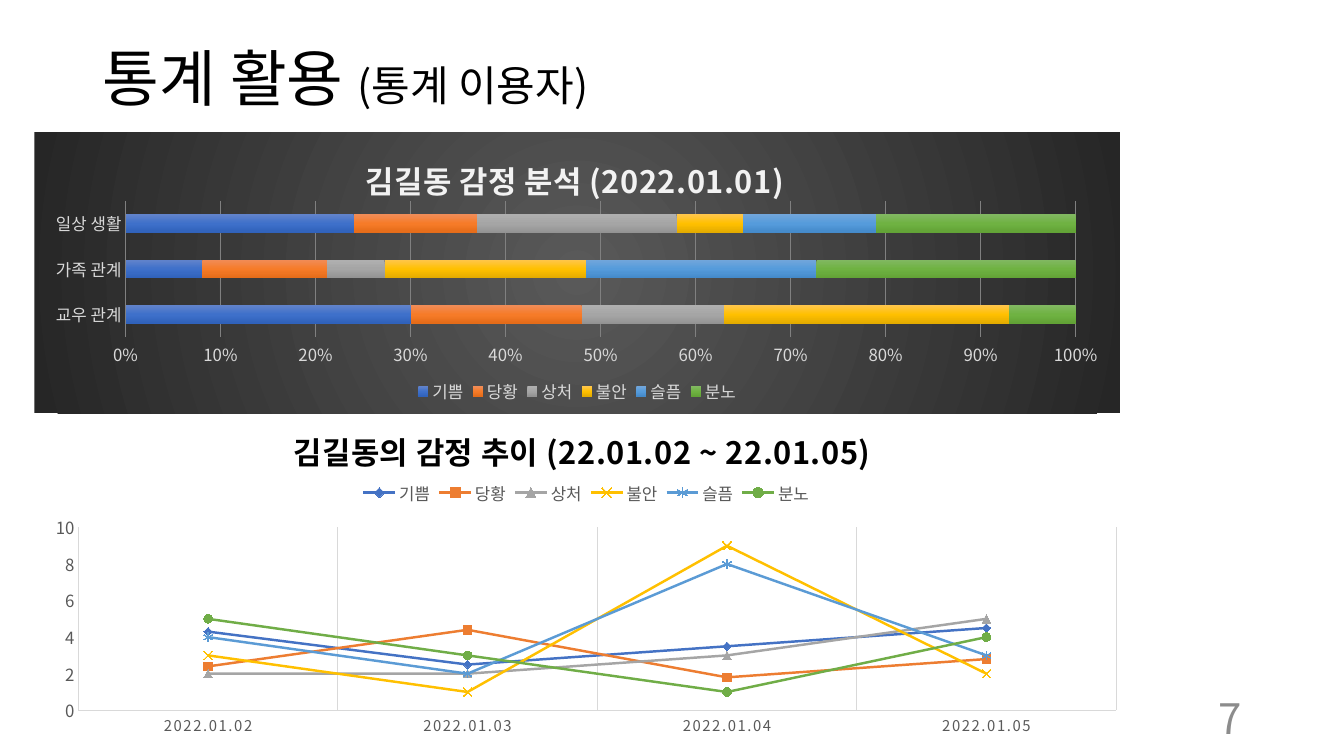
import pptx
import pptx.chart.data
import pptx.dml.color
import pptx.enum.chart
import pptx.enum.text
import pptx.oxml
import pptx.oxml.ns
import pptx.util

FONT = "Noto Sans CJK KR"
KIND = pptx.enum.chart.XL_CHART_TYPE
SIDE = pptx.enum.chart.XL_LEGEND_POSITION
MARK = pptx.enum.chart.XL_MARKER_STYLE
NAMES = ["기쁨", "당황", "상처", "불안", "슬픔", "분노"]
SHARES = [[30, 8, 24], [18, 13, 13], [15, 6, 21],
          [30, 21, 7], [None, 24, 14], [7, 27, 21]]
SHADES = [["6183CB", "3E70CA", "3062BB"], ["F18C57", "F67B28", "E56C19"],
          ["AFAFAF", "A5A5A5", "939393"], ["FFC64B", "FFC000", "E3AB00"],
          ["71A6DB", "559BDB", "448ACA"], ["81B861", "6FB242", "62A336"]]
TRENDS = [[4.3, 2.5, 3.5, 4.5], [2.4, 4.4, 1.8, 2.8], [2, 2, 3, 5],
          [3, 1, 9, 2], [4, 2, 8, 3], [5, 3, 1, 4]]
HUES = ["4472C4", "ED7D31", "A5A5A5", "FFC000", "5B9BD5", "70AD47"]
MARKS = [MARK.DIAMOND, MARK.SQUARE, MARK.TRIANGLE, MARK.X, MARK.STAR, MARK.CIRCLE]


def put(item, vals):
    """Set each attribute of item from a dict."""
    for name, val in vals.items():
        setattr(item, name, val)


def tint(color, code):
    """Apply a hex colour."""
    color.rgb = pptx.dml.color.RGBColor.from_string(code)


def style(font, size, code, bold=False):
    """Set face, size, weight and colour of a font."""
    put(font, {"name": FONT, "size": pptx.util.Pt(size), "bold": bold})
    tint(font.color, code)


def stroke(line, code, width=0.75):
    """Colour a line and set its width."""
    tint(line.color, code)
    line.width = pptx.util.Pt(width)


def node(xml):
    """Parse XML with the chart and drawing prefixes declared."""
    tag, rest = xml.split(">", 1)
    close = "/>" if tag.endswith("/") else ">"
    return pptx.oxml.parse_xml(
        f"{tag.rstrip('/')} {pptx.oxml.ns.nsdecls('a', 'c')}{close}{rest}")


def blend(codes, way):
    """Build gradient XML with evenly spaced stops."""
    step = 100000 // (len(codes) - 1)
    stops = "".join(f'<a:gs pos="{i * step}"><a:srgbClr val="{code}"/></a:gs>'
                    for i, code in enumerate(codes))
    return f"<a:gradFill><a:gsLst>{stops}</a:gsLst>{way}</a:gradFill>"


def place(part, index, box, inner=False):
    """Give a chart part a manual layout as fractions of the chart."""
    for old in part.xpath("./c:layout"):
        part.remove(old)
    target = '<c:layoutTarget val="inner"/>' if inner else ""
    modes = '<c:xMode val="edge"/><c:yMode val="edge"/>'
    spots = "".join(f'<c:{key} val="{val}"/>' for key, val in zip("xywh", box))
    part.insert(index, node(f"<c:layout><c:manualLayout>{target}{modes}{spots}"
                            "</c:manualLayout></c:layout>"))


def east(root):
    """Use the same face for Korean letters."""
    for face in root.xpath(".//a:latin"):
        face.addnext(node(f'<a:ea typeface="{FONT}"/>'))


def graph(slide, kind, box, cats, rows, title, ink, hue, side, back, spots):
    """Add a chart with its title, legend, axis text and layout."""
    data = pptx.chart.data.CategoryChartData()
    data.categories = cats
    for name, row in zip(NAMES, rows):
        data.add_series(name, row)
    frame = slide.shapes.add_chart(kind, *map(pptx.util.Inches, box), data)
    chart = frame.chart
    style(chart.font, 10, "000000")
    put(chart, {"has_title": True, "has_legend": True})
    run = chart.chart_title.text_frame.paragraphs[0].add_run()
    run.text = title
    style(run.font, 22, ink, True)
    put(chart.legend, {"position": side, "include_in_layout": False})
    style(chart.legend.font, 12, hue)
    for axis in (chart.category_axis, chart.value_axis):
        put(axis, {"major_tick_mark": pptx.enum.chart.XL_TICK_MARK.NONE,
                   "minor_tick_mark": pptx.enum.chart.XL_TICK_MARK.NONE})
        style(axis.tick_labels.font, 12, hue)
    root = chart.element
    root.xpath(".//c:title//a:rPr")[0].set("spc", "50")
    parts = [("title", 1), ("legend", 1), ("plotArea", 0)]
    for (name, index), spot in zip(parts, spots):
        place(root.xpath(f"./c:chart/c:{name}")[0], index, spot, name == "plotArea")
    root.xpath("./c:chart")[0].addnext(
        node(f"<c:spPr>{back}<a:ln><a:noFill/></a:ln></c:spPr>"))
    return chart


def bars(slide):
    """Add the stacked bars of shares by field of life."""
    way = ('<a:path path="circle"><a:fillToRect l="50000" t="50000" '
           'r="50000" b="50000"/></a:path>')
    chart = graph(slide, KIND.BAR_STACKED_100, (0.34, 1.31, 10.77, 2.79),
                  ["교우 관계", "가족 관계", "일상 생활"], SHARES,
                  "김길동 감정 분석 (2022.01.01)", "F2F2F2", "D9D9D9",
                  SIDE.BOTTOM, blend(["595959", "262626"], way),
                  [(0.3, 0.06), (0.345, 0.9, 0.31, 0.08), (0.084, 0.245, 0.875, 0.485)])
    plot = chart.plots[0]
    put(plot, {"gap_width": 150, "overlap": 100, "vary_by_categories": False})
    for axis in (chart.category_axis, chart.value_axis):
        axis.format.line.fill.background()
    put(chart.value_axis.tick_labels,
        {"number_format": "0%", "number_format_is_linked": False})
    chart.value_axis.has_major_gridlines = True
    stroke(chart.value_axis.major_gridlines.format.line, "808080")
    for ser in plot.series:
        ser.format.fill.gradient()
    fills = chart.element.xpath(".//c:ser/c:spPr/a:gradFill")
    for fill, codes in zip(fills, SHADES):
        new = node(blend(codes, '<a:lin ang="5400000" scaled="0"/>'))
        fill.getparent().replace(fill, new)
    east(chart.element)


def lines(slide):
    """Add the line chart of feelings by day."""
    chart = graph(slide, KIND.LINE_MARKERS, (0.34, 3.99, 10.95, 3.36),
                  [f"2022.01.0{day}" for day in range(2, 6)], TRENDS,
                  "김길동의 감정 추이 (22.01.02 ~ 22.01.05)", "000000", "595959",
                  SIDE.TOP, "<a:noFill/>",
                  [(0.23, 0.05), (0.29, 0.23, 0.42, 0.07), (0.04, 0.37, 0.94, 0.54)])
    chart.plots[0].vary_by_categories = False
    days, scale = chart.category_axis, chart.value_axis
    put(scale, {"minimum_scale": 0, "maximum_scale": 10, "major_unit": 2,
                "has_major_gridlines": False})
    days.has_major_gridlines = True
    for item in (days, scale, days.major_gridlines):
        stroke(item.format.line, "D9D9D9")
    style(days.tick_labels.font, 10.6, "595959")
    chart.element.xpath(".//c:catAx//a:defRPr")[0].set("spc", "120")
    for ser, hue, mark in zip(chart.plots[0].series, HUES, MARKS):
        ser.smooth = False
        stroke(ser.format.line, hue, 1.75)
        put(ser.marker, {"style": mark, "size": 6})
        stroke(ser.marker.format.line, hue)
        if mark in (MARK.X, MARK.STAR):
            ser.marker.format.fill.background()
        else:
            ser.marker.format.fill.solid()
            tint(ser.marker.format.fill.fore_color, hue)
    east(chart.element)


def write(shape, box, runs, code, align):
    """Place a text shape and fill its one paragraph."""
    put(shape, dict(zip(("left", "top", "width", "height"),
                        map(pptx.util.Inches, box))))
    put(shape.text_frame, {"word_wrap": True,
                           "auto_size": pptx.enum.text.MSO_AUTO_SIZE.NONE,
                           "vertical_anchor": pptx.enum.text.MSO_ANCHOR.MIDDLE})
    para = shape.text_frame.paragraphs[0]
    put(para, {"alignment": align, "line_spacing": 0.9})
    for text, size in runs:
        run = para.add_run()
        run.text = text
        style(run.font, size, code)


def main():
    """Build and save the slide."""
    deck = pptx.Presentation()
    put(deck, {"slide_width": pptx.util.Inches(13.33),
               "slide_height": pptx.util.Inches(7.5)})
    slide = deck.slides.add_slide(deck.slide_layouts[5])
    align = pptx.enum.text.PP_ALIGN
    write(slide.shapes.title, (0.92, 0.4, 11.5, 0.81),
          [("통계 활용 ", 44), ("(통계 이용자)", 30)], "000000", align.LEFT)
    box = [9.42, 6.95, 3, 0.4]
    page = slide.shapes.add_textbox(*map(pptx.util.Inches, box))
    write(page, box, [("7", 30)], "8C8C8C", align.RIGHT)
    bars(slide)
    lines(slide)
    east(slide.element)
    deck.save("out.pptx")


if __name__ == "__main__":
    main()
